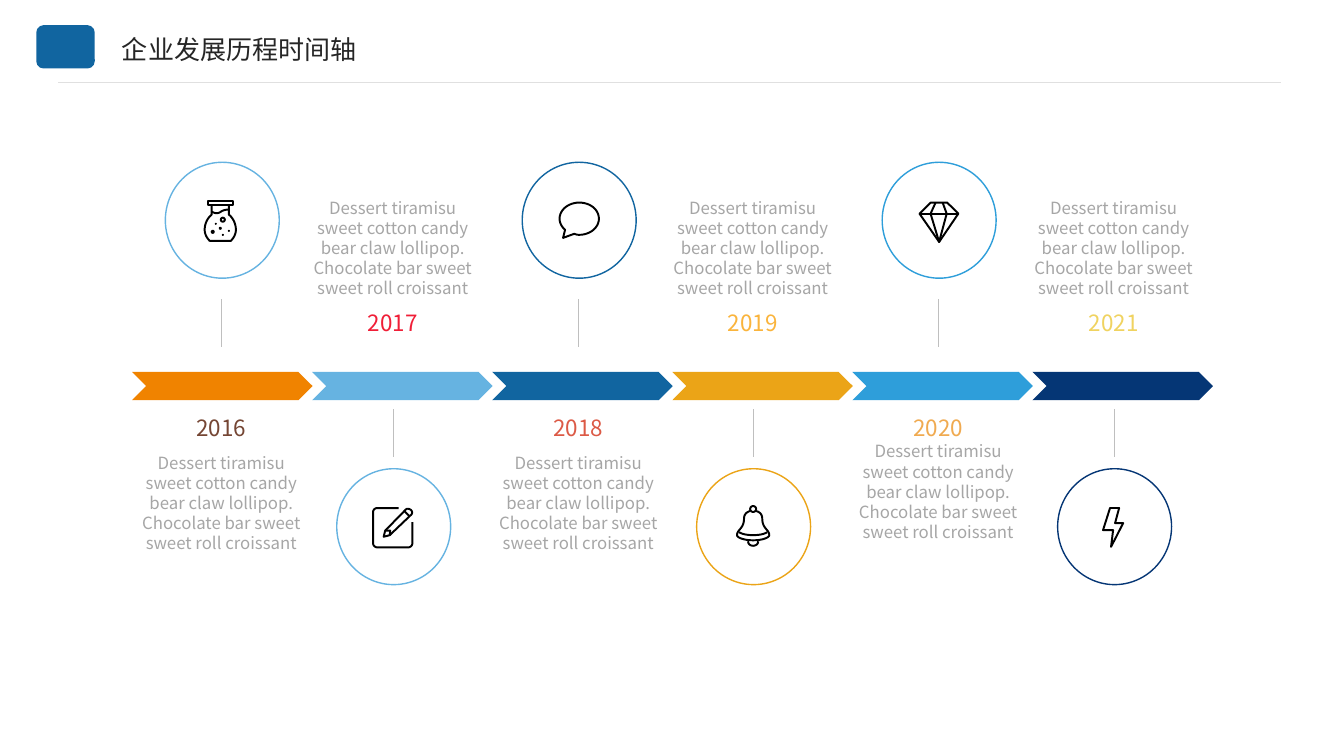
from pptx import Presentation
from pptx.dml.color import RGBColor
from pptx.enum.shapes import MSO_CONNECTOR as Link, MSO_SHAPE as Form
from pptx.enum.text import MSO_ANCHOR as Anchor, PP_ALIGN as Align
from pptx.oxml.ns import qn
from pptx.util import Inches, Pt
from lxml import etree

FONT = "Noto Sans CJK SC"
BODY = ("Dessert tiramisu sweet cotton candy bear claw lollipop. "
        "Chocolate bar sweet sweet roll croissant")
STEPS = [
    ("2016", "754634", "F08300", "66B3E1", 2.2),
    ("2017", "F01E37", "66B3E1", "66B3E1", 3.9),
    ("2018", "DC5A46", "1165A0", "1165A0", 5.74),
    ("2019", "FAB43C", "EBA417", "EBA417", 7.47),
    ("2020", "F0AA50", "2E9EDA", "2E9EDA", 9.31),
    ("2021", "F0D360", "053675", "053675", 11.05),
]

FLASK = [
    ([(-14, -20), (11, -20), (11, -16), (-14, -16)], True),
    ([(-10, -16), (-10, -6), (-14, -3, -17, 3, -17, 9), (-17, 13, -15, 17, -12, 20),
      (9, 20), (12, 17, 14, 13, 14, 9), (14, 3, 11, -3, 7, -6), (7, -16)], False),
    ([(-10, -9), (-5, -6, -2, -8, 0, -9.5), (2, -10.5, 4, -11, 7, -11)], False),
]
NOTE = [
    ([(5.5, -19), (-16, -19), (-18, -19, -20, -17, -20, -15), (-20, 16),
      (-20, 18, -18, 20, -16, 20), (15, 20), (17, 20, 19, 18, 19, 16), (19, -5)], False),
    ([(-9.5, 9.5), (-8, 3.5), (12.5, -17.5), (15, -20, 21, -16, 18, -12.5),
      (-3.5, 8)], True),
    ([(11, -16), (16, -11)], False),
    ([(-8, 3.5), (-3, 3.5), (-3.5, 8)], False),
]
BUBBLE = [
    ([(-4.5, 13), (-15.5, 17), (-13.5, 9), (-17, 6, -19, 2, -19, -2),
      (-19, -11, -10, -18, 0.5, -18), (11.5, -18, 20, -11, 20, -2),
      (20, 7, 11, 14, 0.5, 14), (-1.5, 14, -3, 13.5, -4.5, 13)], True),
]
BELL = [
    ([(-3, -16), (-7, -15, -9, -12, -9, -9), (-9, 2, -16, 2, -16, 8),
      (-16, 10, -10, 13, 0, 13), (10, 13, 16, 10, 16, 8), (16, 2, 9, 2, 9, -9),
      (9, -12, 7, -15, 3, -16)], False),
    ([(-14, 5), (-8, 9, 8, 9, 14, 5)], False),
    ([(-5, 14), (-5, 20, 5, 20, 5, 14)], False),
]
GEM = [
    ([(-8, -18), (8.5, -18), (19.5, -7), (0.5, 21), (-19, -7)], True),
    ([(-19, -7), (19.5, -7)], False),
    ([(-3, -18), (-8, -7), (0.5, 21), (8, -7), (4, -18)], False),
]
BOLT = [
    ([(-4, -19), (5, -19), (1, -4), (9, -4), (-3, 19.5), (-1, 3), (-11, 3)], True),
]
ICONS = [FLASK, NOTE, BUBBLE, BELL, GEM, BOLT]
DOTS = [(-6, 3, 1), (-1.5, 7.5, 1.5), (-9, 11, 2), (7, 10, 1), (1, 14, 1)]


def tint(code):
    return RGBColor.from_string(code)


def paint(shape, fill=None, line=None, width=1):
    shape.shadow.inherit = False
    if fill:
        shape.fill.solid()
        shape.fill.fore_color.rgb = tint(fill)
    else:
        shape.fill.background()
    if line:
        shape.line.color.rgb = tint(line)
        shape.line.width = Pt(width)
    else:
        shape.line.fill.background()


def trace(steps):
    dots = [steps[0]]
    for step in steps[1:]:
        if len(step) == 2:
            dots.append(step)
            continue
        ends = [dots[-1], step[:2], step[2:4], step[4:]]
        for n in range(1, 13):
            t = n / 12
            rates = ((1 - t) ** 3, 3 * t * (1 - t) ** 2, 3 * t * t * (1 - t), t ** 3)
            dots.append(tuple(sum(r * e[k] for r, e in zip(rates, ends)) for k in (0, 1)))
    return dots


def draw(slide, x, y, steps, closed, **style):
    dots = [(Inches(x + a / 100), Inches(y + b / 100)) for a, b in trace(steps)]
    pen = slide.shapes.build_freeform(*dots[0])
    pen.add_line_segments(dots[1:], close=closed)
    paint(pen.convert_to_shape(), **style)


def add(slide, form, x, y, w, h, **style):
    shape = slide.shapes.add_shape(form, Inches(x), Inches(y), Inches(w), Inches(h))
    paint(shape, **style)


def disc(slide, x, y, r, **style):
    add(slide, Form.OVAL, x - r, y - r, 2 * r, 2 * r, **style)


def rule(slide, x, y, x2, y2, code):
    line = slide.shapes.add_connector(Link.STRAIGHT, Inches(x), Inches(y),
                                      Inches(x2), Inches(y2))
    line.line.color.rgb = tint(code)
    line.line.width = Pt(0.75)
    etree.SubElement(line._element.spPr, qn("a:effectLst"))


def box(slide, x, y, w, h):
    frame = slide.shapes.add_textbox(Inches(x), Inches(y), Inches(w), Inches(h)).text_frame
    frame.word_wrap = True
    return frame


def write(para, text, size, code):
    run = para.add_run()
    run.text = text
    run.font.size = Pt(size)
    run.font.color.rgb = tint(code)
    run.font.name = FONT
    etree.SubElement(run._r.get_or_add_rPr(), qn("a:ea"), typeface=FONT)


def label(slide, x, y, parts, gap):
    frame = box(slide, x, y, 1.79, 1.49)
    for n, part in enumerate(parts):
        para = frame.add_paragraph() if n else frame.paragraphs[0]
        para.alignment = Align.CENTER
        para.space_after = Pt(0 if n else gap)
        write(para, *part)


def header(slide):
    rule(slide, 0.58, 0.82, 12.71, 0.82, "E0E0E0")
    frame = box(slide, 1.21, 0.23, 3.48, 0.52)
    frame.margin_left = frame.margin_right = frame.margin_top = frame.margin_bottom = 0
    frame.vertical_anchor = Anchor.MIDDLE
    write(frame.paragraphs[0], "企业发展历程时间轴", 18.6, "262626")
    add(slide, Form.ROUNDED_RECTANGLE, 0.36, 0.25, 0.58, 0.43, fill="1165A0")


def badge(slide, x, y, ring, icon):
    add(slide, Form.OVAL, x - 0.56, y - 0.58, 1.13, 1.15, line=ring)
    for steps, closed in icon:
        draw(slide, x, y, steps, closed, line="000000", width=1.4)
    if icon is FLASK:
        for a, b, r in DOTS:
            disc(slide, x + a / 100, y + b / 100, r / 100, fill="000000")
        disc(slide, x + 0.01, y - 0.01, 0.02, line="000000", width=1.4)
    if icon is BELL:
        disc(slide, x, y - 0.18, 0.03, line="000000", width=1.4)


def main():
    deck = Presentation()
    deck.slide_width, deck.slide_height = Inches(13.33), Inches(7.5)
    slide = deck.slides.add_slide(deck.slide_layouts[6])
    header(slide)
    for n, (year, hue, bar, ring, x) in enumerate(STEPS):
        add(slide, Form.CHEVRON, 1.31 + n * 1.786, 3.69, 1.79, 0.28, fill=bar)
        high = n % 2 == 0
        stem = 2.97 if high else 4.06
        rule(slide, x, stem, x, stem + 0.47, "BFBFBF")
        badge(slide, x, 2.19 if high else 5.23, ring, ICONS[n])
        parts = [(year, 16, hue), (BODY, 12, "A6A6A6")]
        gap = 0 if year == "2020" else 8
        label(slide, x - 0.9, 4.06 if high else 1.91, parts if high else parts[::-1], gap)
    deck.save("out.pptx")


if __name__ == "__main__":
    main()
